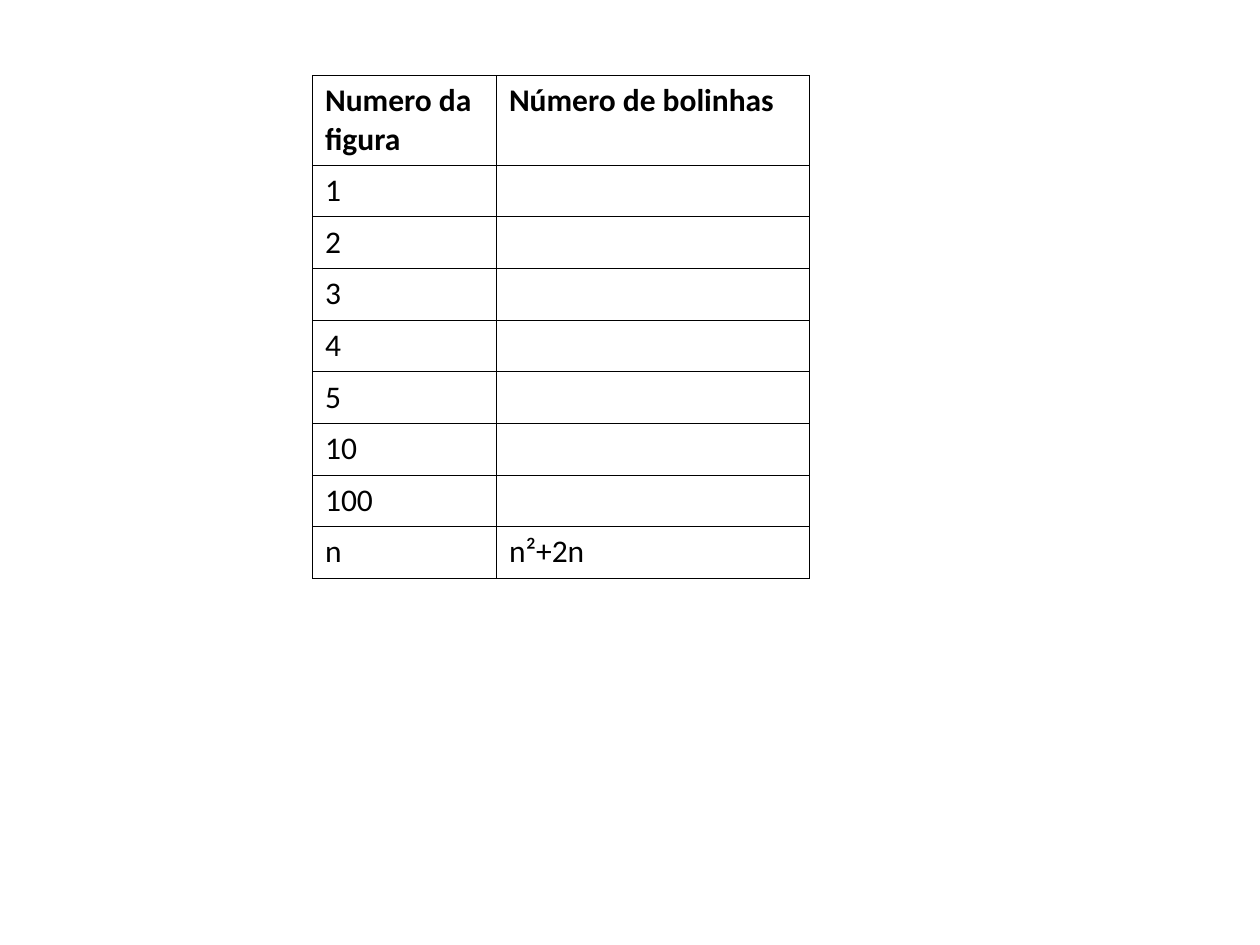
from lxml.etree import SubElement
from pptx import Presentation
from pptx.dml.color import RGBColor
from pptx.oxml.ns import qn
from pptx.util import Inches, Pt

HEADINGS = ("Numero da figura", "Número de bolinhas")
FIGURES = ("1", "2", "3", "4", "5", "10", "100", "n")
FORMULAS = {"n": "n²+2n"}
COLUMN_WIDTHS = (1.46, 2.48)
HEADING_HEIGHT = 0.7
FIGURE_HEIGHT = 0.41
BLACK, WHITE = "000000", "FFFFFF"


def paint(target, color):
    target.solid()
    target.fore_color.rgb = RGBColor.from_string(color)


def add_borders(cell, color, width):
    properties = cell._tc.get_or_add_tcPr()
    for position, side in enumerate(("lnL", "lnR", "lnT", "lnB")):
        border = SubElement(properties, qn(f"a:{side}"), w=str(Pt(width)))
        properties.insert(position, border)
        fill = SubElement(border, qn("a:solidFill"))
        SubElement(fill, qn("a:srgbClr"), val=color)


def write_cell(cell, text, bold):
    cell.text = text
    font = cell.text_frame.paragraphs[0].font
    font.name = "Calibri"
    font.size = Pt(18)
    font.bold = bold
    paint(font.fill, BLACK)
    paint(cell.fill, WHITE)
    add_borders(cell, BLACK, 0.45)


def add_figure_table(slide, left, top):
    rows = [HEADINGS] + [(figure, FORMULAS.get(figure, "")) for figure in FIGURES]
    heights = [HEADING_HEIGHT] + [FIGURE_HEIGHT] * len(FIGURES)
    table = slide.shapes.add_table(
        len(rows), len(HEADINGS), Inches(left), Inches(top),
        Inches(sum(COLUMN_WIDTHS)), Inches(sum(heights)),
    ).table
    table.first_row = False
    table.horz_banding = False
    for column, width in zip(table.columns, COLUMN_WIDTHS):
        column.width = Inches(width)
    for row, height, texts in zip(table.rows, heights, rows):
        row.height = Inches(height)
        for cell, text in zip(row.cells, texts):
            write_cell(cell, text, bold=texts is HEADINGS)


def main():
    presentation = Presentation()
    presentation.slide_width = Inches(10)
    presentation.slide_height = Inches(7.5)
    slide = presentation.slides.add_slide(presentation.slide_layouts[6])
    add_figure_table(slide, left=2.48, top=0.6)
    presentation.save("out.pptx")


if __name__ == "__main__":
    main()
